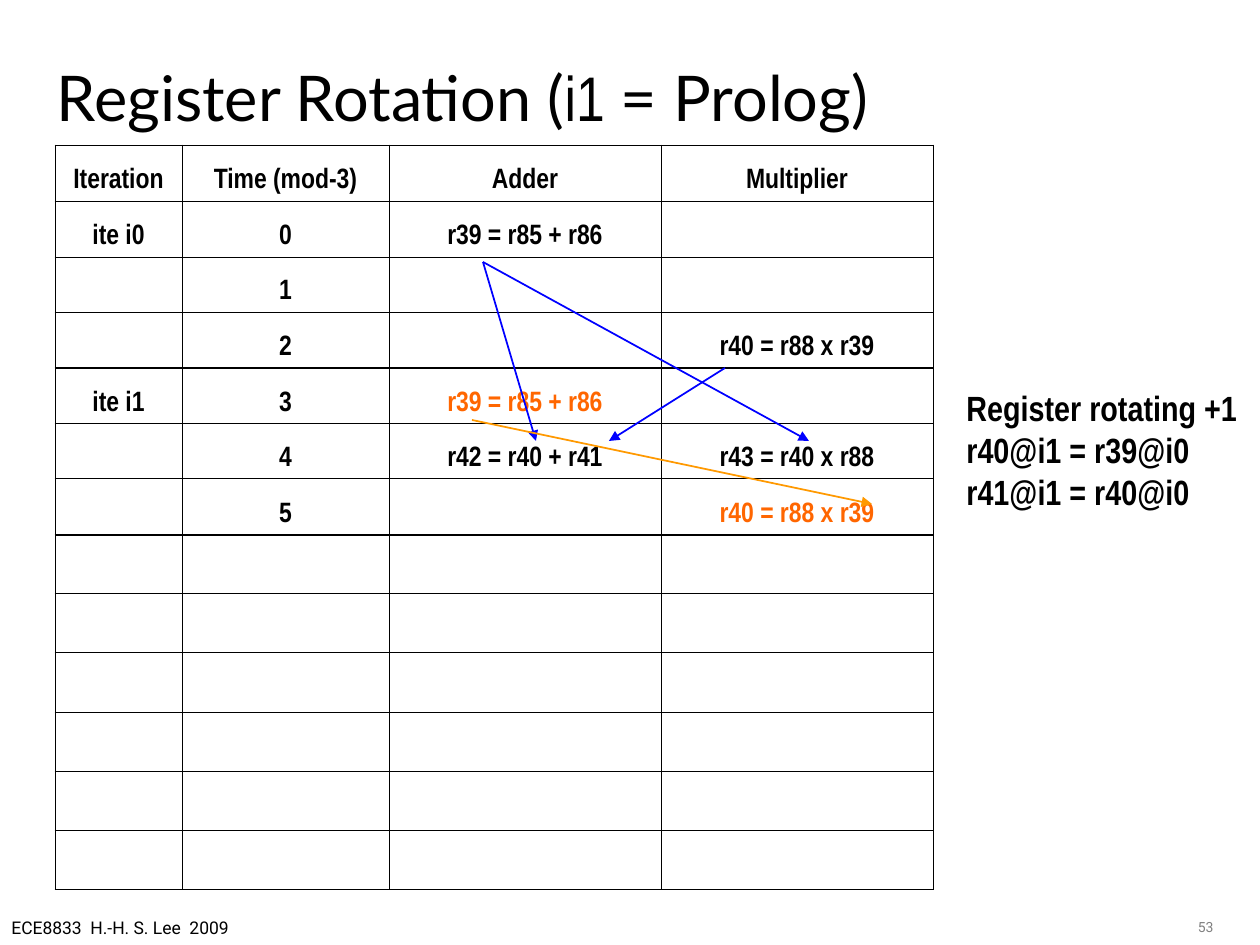
from lxml import etree
from pptx import Presentation
from pptx.dml.color import RGBColor
from pptx.enum.shapes import MSO_CONNECTOR
from pptx.enum.text import MSO_ANCHOR, PP_ALIGN
from pptx.oxml.ns import qn
from pptx.util import Pt

PX = 914400 // 126
BLACK = RGBColor(0, 0, 0)
GRAY = RGBColor(0x80, 0x80, 0x80)
BLUE = RGBColor(0, 0, 0xFF)
AMBER = RGBColor(0xFF, 0x99, 0)
ORANGE = RGBColor(0xFF, 0x66, 0)
LEFT, CENTER, RIGHT = PP_ALIGN.LEFT, PP_ALIGN.CENTER, PP_ALIGN.RIGHT
STRAIGHT = MSO_CONNECTOR.STRAIGHT
NARROW = "Arial Narrow"


def add_run(p, text, name, size, color, bold=False):
    r = p.add_run()
    r.text = text
    for key, value in {"name": name, "size": Pt(size), "bold": bold}.items():
        setattr(r.font, key, value)
    r.font.color.rgb = color


def add_border(cell, side, width):
    """Add one black border; sides must come in the order L, R, T, B."""
    ln = etree.SubElement(cell._tc.get_or_add_tcPr(), qn("a:ln" + side), w=str(Pt(width)))
    fill = etree.SubElement(ln, qn("a:solidFill"))
    etree.SubElement(fill, qn("a:srgbClr"), val=str(BLACK))


prs = Presentation()
prs.slide_width, prs.slide_height = 1260 * PX, 945 * PX
s = prs.slides.add_slide(prs.slide_layouts[5])

# Title
title = s.shapes.title
title.left, title.top, title.width, title.height = 44 * PX, 44 * PX, 1134 * PX, 105 * PX
tf = title.text_frame
tf.vertical_anchor = MSO_ANCHOR.MIDDLE
p = tf.paragraphs[0]
p.alignment = LEFT
for text, name in [("Register Rotation (", "Lato"), ("i1", NARROW), (" = Prolog)", "Lato")]:
    add_run(p, text, name, 36, BLACK)

# Schedule table
SCHEDULE = [
    ("Iteration", "Time (mod-3)", "Adder", "Multiplier"),
    ("ite i0", "0", "r39 = r85 + r86", ""),
    ("", "1", "", ""),
    ("", "2", "", "r40 = r88 x r39"),
    ("ite i1", "3", "r39 = r85 + r86", ""),
    ("", "4", "r42 = r40 + r41", "r43 = r40 x r88"),
    ("", "5", "", "r40 = r88 x r39"),
] + [("",) * 4] * 6
COL_WIDTHS = [127, 207, 272, 272]
ROW_HEIGHTS = [56, 56, 55, 56, 56, 55, 56] + [59, 59, 60, 59, 59, 59]
HIGHLIGHTED = {(4, 2), (6, 3)}

table = s.shapes.add_table(len(SCHEDULE), len(COL_WIDTHS), 55 * PX, 145 * PX,
                           sum(COL_WIDTHS) * PX, sum(ROW_HEIGHTS) * PX).table
table.first_row = table.horz_banding = False
for column, width in zip(table.columns, COL_WIDTHS):
    column.width = width * PX
for row, height in zip(table.rows, ROW_HEIGHTS):
    row.height = height * PX
for i, texts in enumerate(SCHEDULE):
    top = 1.08 if i > 3 and i % 3 == 1 else 0.45
    bottom = 1.08 if i and i % 3 == 0 else 0.45
    for j, text in enumerate(texts):
        cell = table.cell(i, j)
        cell.vertical_anchor = MSO_ANCHOR.BOTTOM
        for side, width in {"L": 0.45, "R": 0.45, "T": top, "B": bottom}.items():
            add_border(cell, side, width)
        cell.fill.background()
        if text:
            p = cell.text_frame.paragraphs[0]
            p.alignment = CENTER
            add_run(p, text, NARROW, 16, ORANGE if (i, j) in HIGHLIGHTED else BLACK, True)

# Dependence arrows
for x1, y1, x2, y2, color in [
    (483, 262, 536, 441, BLUE),
    (725, 368, 609, 441, BLUE),
    (483, 262, 809, 441, BLUE),
    (472, 420, 872, 504, AMBER),
]:
    arrow = s.shapes.add_connector(STRAIGHT, x1 * PX, y1 * PX, x2 * PX, y2 * PX)
    arrow.line.color.rgb = color
    arrow.line.width = Pt(1)
    etree.SubElement(arrow.line._get_or_add_ln(), qn("a:tailEnd"), type="triangle")
    etree.SubElement(arrow._element.spPr, qn("a:effectLst"))

# Rotation note, footer and slide number
NOTE = ["Register rotating +1", "r40@i1 = r39@i0", "r41@i1 = r40@i0"]
for x, y, w, h, lines, align, wrap, font in [
    (954, 380, 296, 138, NOTE, LEFT, False, (NARROW, 20, BLACK, True)),
    (-3, 911, 246, 34, ["ECE8833  H.-H. S. Lee  2009"], CENTER, False, ("Roboto", 10, BLACK)),
    (1143, 912, 83, 22, ["53"], RIGHT, True, ("Roboto", 8, GRAY)),
]:
    tf = s.shapes.add_textbox(x * PX, y * PX, w * PX, h * PX).text_frame
    tf.word_wrap = wrap
    for k, line in enumerate(lines):
        p = tf.add_paragraph() if k else tf.paragraphs[0]
        p.alignment = align
        add_run(p, line, *font)

prs.save("out.pptx")
